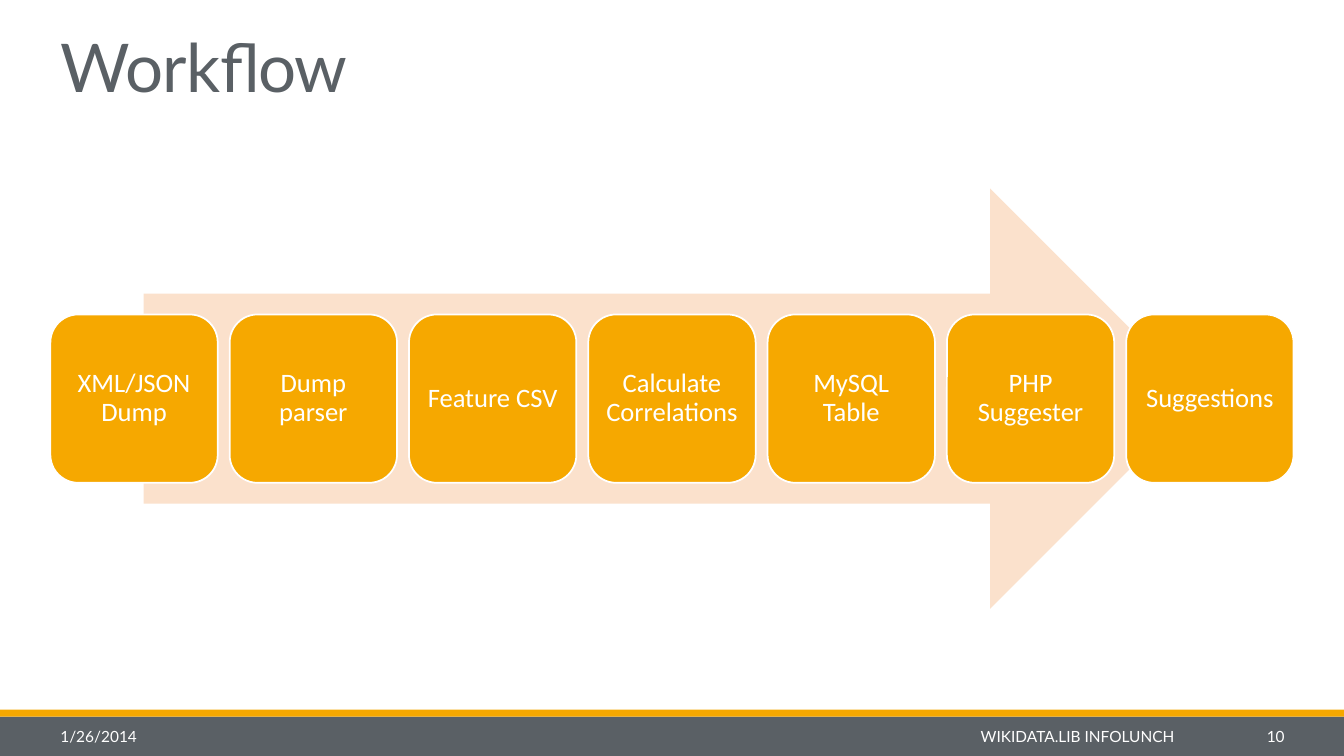
"""Build the Workflow slide: seven steps along a right arrow, above a footer band."""
from pptx import Presentation
from pptx.dml.color import RGBColor
from pptx.enum.shapes import MSO_SHAPE
from pptx.enum.text import MSO_ANCHOR, MSO_AUTO_SIZE, PP_ALIGN
from pptx.util import Inches, Pt

TITLE = "Workflow"
STEPS = ["XML/JSON Dump", "Dump parser", "Feature CSV", "Calculate Correlations",
         "MySQL Table", "PHP Suggester", "Suggestions"]
FOOTER = [
    ("1/26/2014", 0.5, 1.05, PP_ALIGN.LEFT),
    ("WIKIDATA.LIB INFOLUNCH", 1.59, 10.16, PP_ALIGN.RIGHT),
    ("10", 11.79, 1.05, PP_ALIGN.RIGHT),
]
COLORS = {"slate": "5A6065", "amber": "F6A800", "peach": "FBE1CC", "white": "FFFFFF"}

WIDTH, HEIGHT = 13.33, 7.5
MARGIN = 0.5
BAND_HEIGHT, STRIPE_HEIGHT = 0.39, 0.07
BAND_TOP = HEIGHT - BAND_HEIGHT
CONTENT_WIDTH = WIDTH - 2 * MARGIN
ARROW_SHARE = 0.85
ARROW_TOP, ARROW_HEIGHT = 1.87, 4.17
STEP_WIDTH, STEP_HEIGHT = 1.66, 1.67
STEP_PITCH = (CONTENT_WIDTH - STEP_WIDTH) / (len(STEPS) - 1)
STEP_TOP = ARROW_TOP + (ARROW_HEIGHT - STEP_HEIGHT) / 2
STEP_INSET = 0.08


def color(name):
    return RGBColor.from_string(COLORS[name])


def add_block(slide, preset, left, top, width, height, fill):
    block = slide.shapes.add_shape(
        preset, Inches(left), Inches(top), Inches(width), Inches(height))
    block.shadow.inherit = False
    block.fill.solid()
    block.fill.fore_color.rgb = color(fill)
    block.line.fill.background()
    return block


def write(frame, text, size, font, ink, align, anchor=MSO_ANCHOR.MIDDLE):
    frame.word_wrap = True
    frame.auto_size = MSO_AUTO_SIZE.NONE
    frame.vertical_anchor = anchor
    paragraph = frame.paragraphs[0]
    paragraph.text = text
    paragraph.alignment = align
    paragraph.font.size = Pt(size)
    paragraph.font.name = font
    paragraph.font.color.rgb = color(ink)
    return paragraph


def add_title(slide):
    title = slide.shapes.title
    title.left, title.top = Inches(MARGIN), 0
    title.width, title.height = Inches(11.04), Inches(1.1)
    heading = write(title.text_frame, TITLE, 48, "Lato", "slate",
                    PP_ALIGN.LEFT, MSO_ANCHOR.BOTTOM)
    heading.line_spacing = 0.85
    heading.runs[0].font._element.set("spc", "-50")


def add_workflow(slide):
    arrow_width = CONTENT_WIDTH * ARROW_SHARE
    add_block(slide, MSO_SHAPE.RIGHT_ARROW, (WIDTH - arrow_width) / 2, ARROW_TOP,
              arrow_width, ARROW_HEIGHT, "peach")
    for column, label in enumerate(STEPS):
        step = add_block(slide, MSO_SHAPE.ROUNDED_RECTANGLE, MARGIN + column * STEP_PITCH,
                         STEP_TOP, STEP_WIDTH, STEP_HEIGHT, "amber")
        step.line.color.rgb = color("white")
        step.line.width = Pt(1.25)
        frame = step.text_frame
        frame.margin_left = frame.margin_right = Inches(STEP_INSET)
        frame.margin_top = frame.margin_bottom = Inches(STEP_INSET)
        write(frame, label, 19, "Calibri", "white", PP_ALIGN.CENTER).line_spacing = 0.9


def add_footer(slide):
    add_block(slide, MSO_SHAPE.RECTANGLE, 0, BAND_TOP, WIDTH, BAND_HEIGHT, "slate")
    add_block(slide, MSO_SHAPE.RECTANGLE, 0, BAND_TOP - STRIPE_HEIGHT,
              WIDTH, STRIPE_HEIGHT, "amber")
    for text, left, width, align in FOOTER:
        box = slide.shapes.add_textbox(
            Inches(left), Inches(BAND_TOP), Inches(width), Inches(BAND_HEIGHT))
        write(box.text_frame, text, 11, "Lato", "white", align)


def main():
    deck = Presentation()
    deck.slide_width, deck.slide_height = Inches(WIDTH), Inches(HEIGHT)
    slide = deck.slides.add_slide(deck.slide_layouts[5])
    add_title(slide)
    add_workflow(slide)
    add_footer(slide)
    deck.save("out.pptx")


if __name__ == "__main__":
    main()
